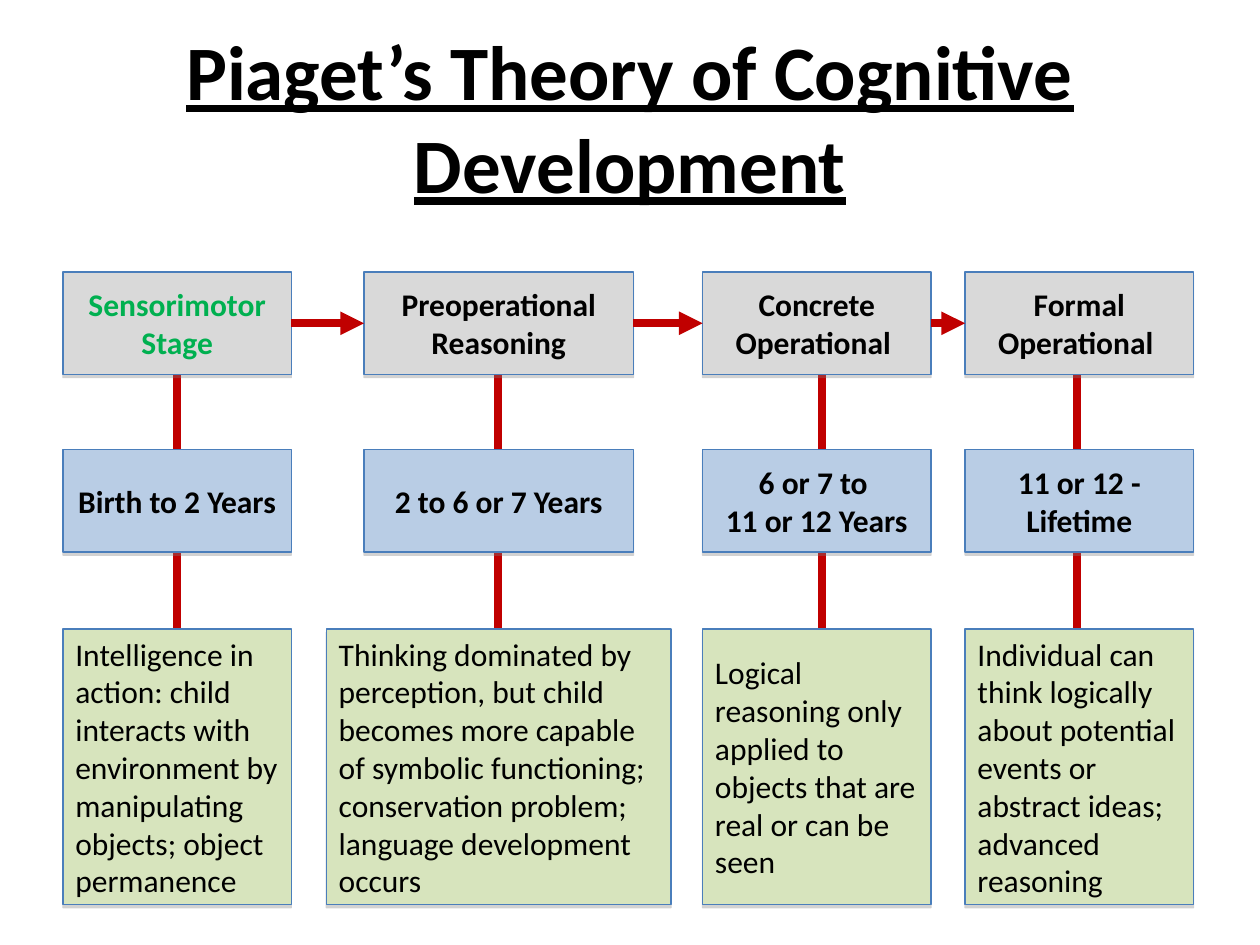
from dataclasses import dataclass
from itertools import pairwise

import pptx
import pptx.dml.color
import pptx.enum.shapes
import pptx.enum.text
import pptx.oxml
import pptx.oxml.ns
import pptx.util
from pptx.util import Pt

ALIGN = pptx.enum.text.PP_ALIGN


@dataclass(frozen=True)
class Theme:
    font: str = "Calibri"
    title_size: float = 44
    body_size: float = 18
    text: str = "000000"
    highlight: str = "00B050"
    border: str = "4A7EBB"
    link: str = "C00000"
    shadow: str = "808080"
    border_width: float = 0.75
    link_width: float = 4.5


@dataclass(frozen=True)
class Row:
    top: float
    height: float
    fill: str
    bold: bool
    align: ALIGN


@dataclass(frozen=True)
class Stage:
    left: float
    width: float
    link_x: float
    name: str
    ages: str
    detail: str
    name_color: str = Theme.text
    overhang: float = 0  # how far the detail box reaches past each side


THEME = Theme()
NAME_ROW = Row(155.5, 58.5, "D9D9D9", True, ALIGN.CENTER)
AGE_ROW = Row(257, 58.5, "B9CDE5", True, ALIGN.CENTER)
DETAIL_ROW = Row(359.5, 157.5, "D7E4BD", False, ALIGN.LEFT)

STAGES = [
    Stage(36, 130.5, 101.25, "Sensorimotor Stage", "Birth to 2 Years",
          "Intelligence in action: child interacts with environment by "
          "manipulating objects; object permanence", name_color=THEME.highlight),
    Stage(208, 154, 284.5, "Preoperational Reasoning", "2 to 6 or 7 Years",
          "Thinking dominated by perception, but child becomes more capable of "
          "symbolic functioning; conservation problem; language development occurs",
          overhang=21.5),
    Stage(401.5, 130.5, 469.5, "Concrete Operational ", "6 or 7 to \n11 or 12 Years",
          "Logical reasoning only applied to objects that are real or can be seen"),
    Stage(551.5, 130.5, 615.5, "Formal Operational ", "11 or 12 - Lifetime",
          "Individual can think logically about potential events or abstract ideas; "
          "advanced reasoning"),
]


def rgb(value: str) -> pptx.dml.color.RGBColor:
    return pptx.dml.color.RGBColor.from_string(value)


def set_text(s, text: str, size: float, color: str, bold: bool, align: ALIGN,
             underline: bool = False) -> None:
    tf = s.text_frame
    tf.word_wrap = True
    tf.vertical_anchor = pptx.enum.text.MSO_ANCHOR.MIDDLE
    tf.text = text
    for p in tf.paragraphs:
        p.alignment = align
        for r in p.runs:
            r.font.name = THEME.font
            r.font.size = Pt(size)
            r.font.bold = bold
            r.font.underline = underline
            r.font.color.rgb = rgb(color)


def set_effects(s, content: str = "") -> None:
    """Replace the theme's effects with the given effect XML."""
    s._element.spPr.append(pptx.oxml.parse_xml(
        f'<a:effectLst {pptx.oxml.ns.nsdecls("a")}>{content}</a:effectLst>'))


def add_box(slide, left: float, width: float, row: Row, text: str,
            color: str = THEME.text) -> None:
    s = slide.shapes.add_shape(pptx.enum.shapes.MSO_SHAPE.RECTANGLE,
                               Pt(left), Pt(row.top), Pt(width), Pt(row.height))
    s.fill.solid()
    s.fill.fore_color.rgb = rgb(row.fill)
    s.line.color.rgb = rgb(THEME.border)
    s.line.width = Pt(THEME.border_width)
    set_effects(s, f'<a:outerShdw dist="{Pt(1.8)}" dir="5400000" rotWithShape="0">'
                   f'<a:srgbClr val="{THEME.shadow}"><a:alpha val="35000"/></a:srgbClr>'
                   '</a:outerShdw>')
    set_text(s, text, THEME.body_size, color, row.bold, row.align)


def add_link(slide, x1: float, y1: float, x2: float, y2: float,
             arrow: bool = False) -> None:
    s = slide.shapes.add_connector(pptx.enum.shapes.MSO_CONNECTOR.STRAIGHT,
                                   Pt(x1), Pt(y1), Pt(x2), Pt(y2))
    s.line.color.rgb = rgb(THEME.link)
    s.line.width = Pt(THEME.link_width)
    if arrow:
        s.line._get_or_add_ln().append(pptx.oxml.parse_xml(
            f'<a:tailEnd {pptx.oxml.ns.nsdecls("a")} type="triangle"/>'))
    set_effects(s)


def add_stage(slide, stage: Stage) -> None:
    add_link(slide, stage.link_x, NAME_ROW.top + NAME_ROW.height,
             stage.link_x, DETAIL_ROW.top)
    add_box(slide, stage.left, stage.width, NAME_ROW, stage.name, stage.name_color)
    add_box(slide, stage.left, stage.width, AGE_ROW, stage.ages)
    add_box(slide, stage.left - stage.overhang, stage.width + 2 * stage.overhang,
            DETAIL_ROW, stage.detail)


def main() -> None:
    prs = pptx.Presentation()
    prs.slide_width, prs.slide_height = Pt(720), Pt(540)
    slide = prs.slides.add_slide(prs.slide_layouts[6])

    title = slide.shapes.add_textbox(Pt(36), Pt(21.5), Pt(648), Pt(90))
    set_text(title, "Piaget’s Theory of Cognitive Development", THEME.title_size,
             THEME.text, True, ALIGN.CENTER, underline=True)

    for stage in STAGES:
        add_stage(slide, stage)
    arrow_y = NAME_ROW.top + NAME_ROW.height / 2
    for before, after in pairwise(STAGES):
        add_link(slide, before.left + before.width, arrow_y, after.left, arrow_y,
                 arrow=True)

    prs.save("out.pptx")


if __name__ == "__main__":
    main()
